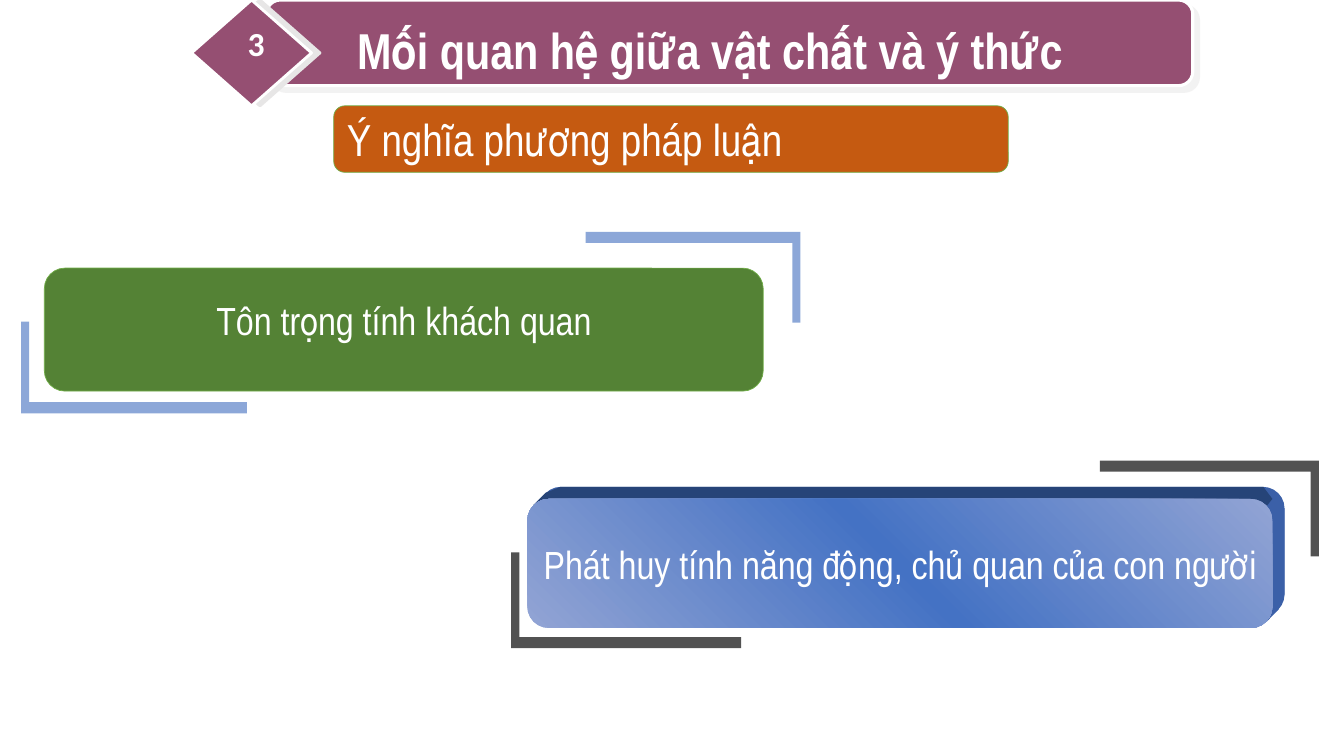
import copy

import lxml.etree
import pptx
import pptx.dml.color
import pptx.enum.shapes
import pptx.enum.text
import pptx.oxml.ns
import pptx.util

Inches = pptx.util.Inches
Pt = pptx.util.Pt
SHAPE = pptx.enum.shapes.MSO_SHAPE
ALIGN = pptx.enum.text.PP_ALIGN
ANCHOR = pptx.enum.text.MSO_ANCHOR
qn = pptx.oxml.ns.qn
NARROW = "Arial Narrow"

COLORS = {
    "white": "FFFFFF", "plum": "954F72", "shade": "E7E6E6",
    "green": "548235", "lime": "70AD47", "orange": "C55A11",
    "azure": "1A50B2", "black": "000000", "blue": "4472C4",
    "pale": "92A4D4", "navy": "264478", "side": "3B60A8",
}


def rgb(name):
    """Return the named colour."""
    return pptx.dml.color.RGBColor.from_string(COLORS[name])


def paint(shape, fill, line=None, width=0.5, alpha=None):
    """Set the fill, outline and opacity of a shape."""
    shape.shadow.inherit = False
    shape.fill.solid()
    shape.fill.fore_color.rgb = rgb(fill)
    if line:
        shape.line.color.rgb = rgb(line)
        shape.line.width = Pt(width)
    else:
        shape.line.fill.background()
    if alpha:
        color = shape.element.spPr.find(qn("a:solidFill"))[0]
        lxml.etree.SubElement(color, qn("a:alpha"), val=str(alpha * 1000))


def box(slide, kind, place, fill, line=None, width=0.5):
    """Add a painted preset shape."""
    shape = slide.shapes.add_shape(kind, *map(Inches, place))
    paint(shape, fill, line, width)
    return shape


def cast(shape, alpha, gap, angle):
    """Give a shape an outer shadow."""
    effects = shape.element.spPr.find(qn("a:effectLst"))
    outer = lxml.etree.SubElement(
        effects, qn("a:outerShdw"), dist=str(Pt(gap)),
        dir=str(angle * 60000), algn="ctr", rotWithShape="0")
    color = lxml.etree.SubElement(outer, qn("a:srgbClr"), val=COLORS["shade"])
    lxml.etree.SubElement(color, qn("a:alpha"), val=str(alpha * 1000))


def write(shape, text, size, font=NARROW, bold=False, align=ALIGN.CENTER,
          anchor=ANCHOR.MIDDLE, wrap=True):
    """Write one formatted paragraph in a shape."""
    frame = shape.text_frame
    frame.text = text
    frame.word_wrap = wrap
    frame.auto_size = pptx.enum.text.MSO_AUTO_SIZE.NONE
    frame.vertical_anchor = anchor
    para = frame.paragraphs[0]
    para.alignment = align
    face = para.runs[0].font
    face.name, face.size, face.bold = font, Pt(size), bold
    face.color.rgb = rgb("white")
    return para


def outline(slide, points, fill, alpha=None):
    """Add a closed polygon."""
    spots = [(Inches(x), Inches(y)) for x, y in points]
    pen = slide.shapes.build_freeform(*spots[0], scale=1.0)
    pen.add_line_segments(spots[1:], close=True)
    paint(pen.convert_to_shape(), fill, alpha=alpha)


def bracket(slide, corner, across, up, fill, alpha):
    """Add an L bracket whose arms run from its corner by signed lengths."""
    x, y = corner
    thin = 0.08 if across > 0 else -0.08
    thick = 0.11 if up > 0 else -0.11
    outline(slide, [(x, y), (x + across, y), (x + across, y + thick),
                    (x + thin, y + thick), (x + thin, y + up), (x, y + up)],
            fill, alpha)


def header(slide):
    """Build the title bar with its numbered diamond."""
    bar = box(slide, SHAPE.ROUNDED_RECTANGLE, (2.64, 0, 9.19, 0.85),
              "plum", "white", 2.25)
    cast(bar, 50, 5.7, 45)
    gem = box(slide, SHAPE.DIAMOND, (1.9, 0, 1.19, 1.05), "plum", "white", 2)
    cast(gem, 100, 6, 0)
    title = slide.shapes.title
    title.left, title.top, title.width, title.height = map(
        Inches, (3.23, 0.13, 7.63, 0.71))
    write(title, "Mối quan hệ giữa vật chất và ý thức", 36, bold=True)
    title.element.getparent().append(title.element)
    label = slide.shapes.add_textbox(*map(Inches, (2.21, 0.18, 0.66, 0.5)))
    write(label, "3", 24, "Calibri", True, anchor=ANCHOR.TOP)


def respect(slide):
    """Build the green panel and its brackets."""
    bracket(slide, (0.21, 4.1), 2.24, -0.91, "azure", 50)
    bracket(slide, (7.94, 2.3), -2.13, 0.9, "azure", 50)
    panel = box(slide, SHAPE.ROUNDED_RECTANGLE, (0.44, 2.66, 7.13, 1.22),
                "green", "lime")
    para = write(panel, "Tôn trọng tính khách quan", 28, wrap=False)
    para.line_spacing = Pt(19)
    para.space_after = Pt(6)


def blend(shape):
    """Fill a shape with the diagonal three-stop gradient."""
    shape.fill.gradient()
    shape.fill.gradient_angle = 45
    first = shape.element.spPr.find(".//" + qn("a:gs"))
    first.addnext(copy.deepcopy(first))
    names = ("pale", "blue", "pale")
    for i, (stop, name) in enumerate(zip(shape.fill.gradient_stops, names)):
        stop.position = i / 2
        stop.color.rgb = rgb(name)


def promote(slide):
    """Build the raised blue panel and its brackets."""
    bracket(slide, (5.07, 6.43), 2.28, -0.95, "black", 68)
    bracket(slide, (13.08, 4.57), -2.17, 0.95, "black", 68)
    box(slide, SHAPE.ROUNDED_RECTANGLE, (5.35, 4.83, 7.39, 1.28), "side")
    outline(slide, [(5.29, 5.01), (5.41, 4.89), (5.56, 4.83), (12.53, 4.83),
                    (12.62, 4.95), (12.5, 5.1), (5.4, 5.1)], "navy")
    outline(slide, [(12.62, 5.16), (12.74, 5.04), (12.74, 5.9),
                    (12.68, 6.05), (12.56, 6.17)], "side")
    panel = box(slide, SHAPE.ROUNDED_RECTANGLE, (5.23, 4.95, 7.39, 1.28),
                "blue")
    blend(panel)
    write(panel, "Phát huy tính năng động, chủ quan của con người", 28,
          wrap=False)


def main():
    """Build and save the slide."""
    deck = pptx.Presentation()
    deck.slide_width, deck.slide_height = Inches(13.33), Inches(7.5)
    slide = deck.slides.add_slide(deck.slide_layouts[5])
    header(slide)
    respect(slide)
    promote(slide)
    topic = box(slide, SHAPE.ROUNDED_RECTANGLE, (3.31, 1.05, 6.69, 0.66),
                "orange", "lime")
    write(topic, "Ý nghĩa phương pháp luận", 32, align=ALIGN.LEFT)
    deck.save("out.pptx")


if __name__ == "__main__":
    main()
